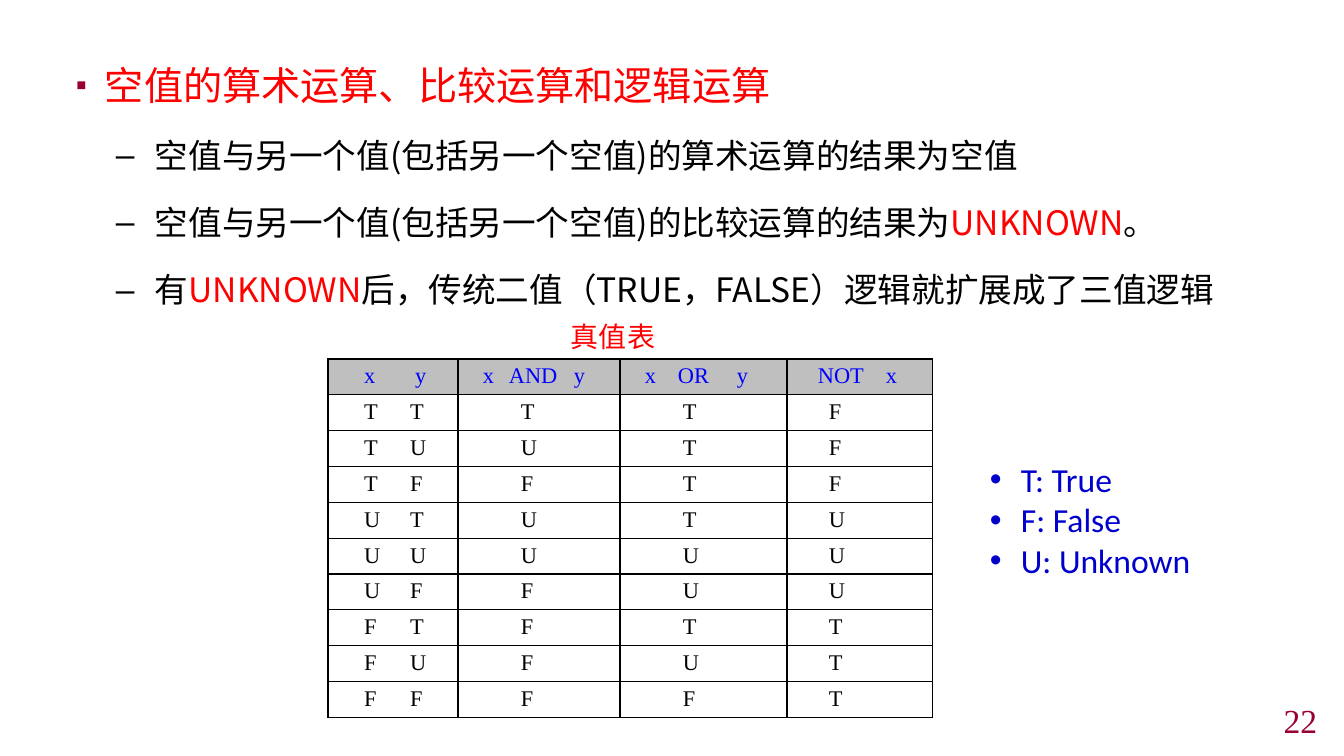
from lxml.etree import SubElement
from pptx import Presentation
from pptx.dml.color import RGBColor
from pptx.enum.text import MSO_ANCHOR as Anchor, PP_ALIGN as Align
from pptx.oxml.ns import qn
from pptx.util import Pt

PX = 9071  # EMU per px, 100.8 px to the inch
CJK, SERIF, SANS = "Noto Sans CJK SC", "Times New Roman", "Calibri"
RED, MAROON, BLACK = "FF0000", "990033", "000000"
rgb = RGBColor.from_string


def write(para, text, size, font, color, accent=None, left=0,
          indent=0, bullet=None, bullet_color=None, bullet_size=100, tabs=(),
          align=None, spacing=None, before=0):
    """Fill a paragraph; the word in accent is set in red."""
    props = para._p.get_or_add_pPr()
    if bullet:
        props.set("marL", str(left * PX))
        props.set("indent", str(indent * PX))
        fill = SubElement(props, qn("a:buClr"))
        SubElement(fill, qn("a:srgbClr"), val=bullet_color or color)
        SubElement(props, qn("a:buSzPct"), val=str(bullet_size * 1000))
        SubElement(props, qn("a:buFont"), typeface="Arial")
        SubElement(props, qn("a:buChar"), char=bullet)
    if tabs:
        stops = SubElement(props, qn("a:tabLst"))
        for stop in tabs:
            SubElement(stops, qn("a:tab"), pos=str(stop * PX), algn="l")
    para.alignment = align
    para.line_spacing = spacing
    if before:
        para.space_before = Pt(before)
    pieces = text.partition(accent) if accent else [text]
    for piece in filter(None, pieces):
        span = para.add_run()
        span.text = piece
        span.font.size = Pt(size)
        span.font.name = font
        span.font.color.rgb = rgb(RED if piece == accent else color)
        SubElement(span.font._element, qn("a:ea"), typeface=font)


def add_frame(left, top, width, height, anchor=Anchor.TOP):
    box = page.shapes.add_textbox(left * PX, top * PX, width * PX, height * PX)
    frame = box.text_frame
    frame.word_wrap = True
    frame.vertical_anchor = anchor
    return frame


deck = Presentation()
deck.slide_width, deck.slide_height = 1344 * PX, 756 * PX
page = deck.slides.add_slide(deck.slide_layouts[6])

# Rules for null values
rules = add_frame(66, 42, 1214, 678)
write(rules.paragraphs[0], "空值的算术运算、比较运算和逻辑运算", 28, CJK, RED,
      left=29, indent=-29, bullet="▪", bullet_color=MAROON, bullet_size=80,
      spacing=1.3)
for rule in ("空值与另一个值(包括另一个空值)的算术运算的结果为空值",
             "空值与另一个值(包括另一个空值)的比较运算的结果为UNKNOWN。",
             "有UNKNOWN后，传统二值（TRUE，FALSE）逻辑就扩展成了三值逻辑"):
    write(rules.add_paragraph(), rule, 24, CJK, BLACK, accent="UNKNOWN",
          left=79, indent=-39, bullet="–", spacing=1.5, before=4.8)

# Page number
number = add_frame(1042, 705, 285, 31, Anchor.MIDDLE)
write(number.paragraphs[0], "22", 24, SERIF, MAROON, align=Align.RIGHT)

# Truth table: width, heading, then left margin and tab stops
# of the heading and of the values
columns = [
    (130, "x\ty", (36, 51), (36, 46)),
    (162, "x\tAND\ty", (25, 26, 91), (63,)),
    (167, "x\tOR\ty", (25, 33, 92), (63,)),
    (146, "NOT\tx", (31, 68), (42,)),
]
values = ["TT T T F", "TU U T F", "TF F T F", "UT U T U", "UU U U U",
          "UF F U U", "FT F T T", "FU F U T", "FF F F T"]
rows = [[heading for _, heading, _, _ in columns]]
rows += [["\t".join(cell) for cell in line.split()] for line in values]

ROW = 35
table = page.shapes.add_table(
    len(rows), len(columns), 328 * PX, 359 * PX,
    sum(column[0] for column in columns) * PX, len(rows) * ROW * PX).table
table.horz_banding = False
for index, column in enumerate(columns):
    table.columns[index].width = column[0] * PX
for row_index, texts in enumerate(rows):
    table.rows[row_index].height = ROW * PX
    heading = row_index == 0
    for index, text in enumerate(texts):
        cell = table.cell(row_index, index)
        margin, *tabs = columns[index][2 if heading else 3]
        cell.margin_left, cell.margin_right = margin * PX, 13 * PX
        cell.margin_top, cell.margin_bottom = 5 * PX, 4 * PX
        write(cell.text_frame.paragraphs[0], text, 16, SERIF,
              "0000FF" if heading else BLACK, tabs=tabs)
        cell_props = cell._tc.get_or_add_tcPr()
        for side in ("a:lnL", "a:lnR", "a:lnT", "a:lnB"):
            border = SubElement(cell_props, qn(side), w=str(Pt(1)))
            paint = SubElement(border, qn("a:solidFill"))
            SubElement(paint, qn("a:srgbClr"), val=BLACK)
        if heading:
            cell.fill.solid()
            cell.fill.fore_color.rgb = rgb("BFBFBF")
        else:
            cell.fill.background()

# Legend
legend = add_frame(980, 454, 230, 132)
for index, entry in enumerate(("T: True", "F: False", "U: Unknown")):
    para = legend.add_paragraph() if index else legend.paragraphs[0]
    write(para, entry, 24, SANS, "0000CC", left=31, indent=-31, bullet="•")

# Table caption
caption = add_frame(449, 315, 328, 44)
write(caption.paragraphs[0], "真值表", 20, CJK, RED, align=Align.CENTER)

deck.save("out.pptx")
